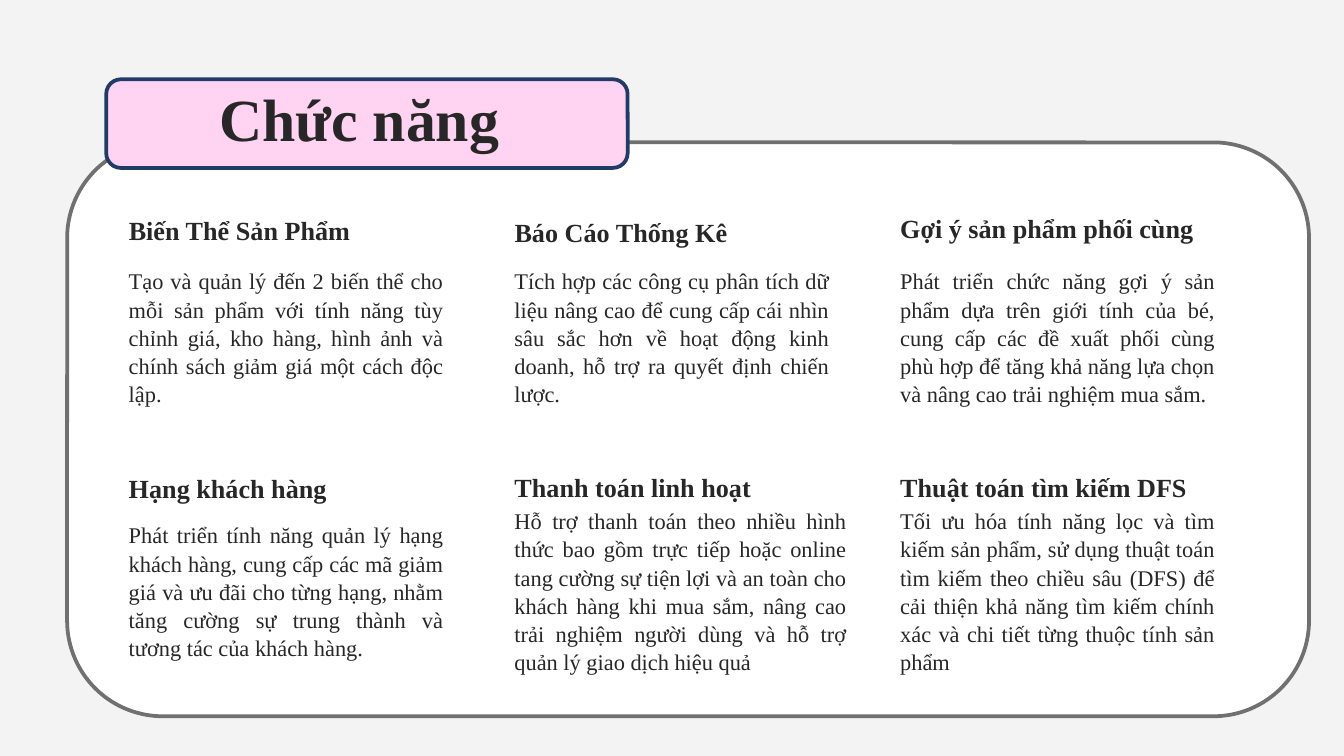
import pptx
import pptx.util
import pptx.dml.color
import pptx.enum.shapes
import pptx.enum.text

Pt = pptx.util.Pt
ALIGN = pptx.enum.text.PP_ALIGN
HUES = {"back": "F3F3F3", "panel": "FFFFFF", "edge": "707070",
        "tab": "FFD3F1", "rim": "203B66", "ink": "272727"}

# Content: one list per row of (head, body)
TITLE = "Chức năng "
ROWS = [
    [("Biến Thể Sản Phẩm",
      "Tạo và quản lý đến 2 biến thể cho mỗi sản phẩm với tính năng tùy chỉnh giá, "
      "kho hàng, hình ảnh và chính sách giảm giá một cách độc lập."),
     ("Báo Cáo Thống Kê",
      "Tích hợp các công cụ phân tích dữ liệu nâng cao để cung cấp cái nhìn sâu sắc "
      "hơn về hoạt động kinh doanh, hỗ trợ ra quyết định chiến lược."),
     ("Gợi ý sản phẩm phối cùng",
      "Phát triển chức năng gợi ý sản phẩm dựa trên giới tính của bé, cung cấp các đề "
      "xuất phối cùng phù hợp để tăng khả năng lựa chọn và nâng cao trải nghiệm mua sắm.")],
    [("Hạng khách hàng",
      "Phát triển tính năng quản lý hạng khách hàng, cung cấp các mã giảm giá và ưu đãi "
      "cho từng hạng, nhằm tăng cường sự trung thành và tương tác của khách hàng."),
     ("Thanh toán linh hoạt",
      "Hỗ trợ thanh toán theo nhiều hình thức bao gồm trực tiếp hoặc online tang cường "
      "sự tiện lợi và an toàn cho khách hàng khi mua sắm, nâng cao trải nghiệm người "
      "dùng và hỗ trợ quản lý giao dịch hiệu quả"),
     ("Thuật toán tìm kiếm DFS",
      "Tối ưu hóa tính năng lọc và tìm kiếm sản phẩm, sử dụng thuật toán tìm kiếm theo "
      "chiều sâu (DFS) để cải thiện khả năng tìm kiếm chính xác và chi tiết từng thuộc "
      "tính sản phẩm")],
]

# Grid, in points
LEFT, STEP, WIDE = 61.92, 206.64, 182.88
HEAD_TOPS = [[108.72, 109.44, 107.28], [246.96, 246.24, 246.24]]
HEAD_WIDES = [[159.84, 212.4, 198.72], [WIDE] * 3]
BODY_TOPS = [134.64, 270.72]
BODY_WIDES = [[WIDE] * 3, [WIDE, 192.24, WIDE]]
HEAD_HIGH, BODY_HIGH = 29.52, 91.44

# Formats
FRAME = {"word_wrap": True, "auto_size": pptx.enum.text.MSO_AUTO_SIZE.NONE,
         "vertical_anchor": pptx.enum.text.MSO_ANCHOR.MIDDLE,
         "margin_left": Pt(7.2), "margin_right": Pt(7.2),
         "margin_top": Pt(7.2), "margin_bottom": Pt(7.2)}
FONT = {"name": "Times New Roman"}
TITLE_FONT = {**FONT, "size": Pt(32), "bold": True}
HEAD_FONT = {**FONT, "size": Pt(14), "bold": True}
BODY_FONT = {**FONT, "size": Pt(12), "bold": False}


def hue(name):
    return pptx.dml.color.RGBColor.from_string(HUES[name])


def put(item, looks):
    for key, value in looks.items():
        setattr(item, key, value)


def write(box, text, font, align, space):
    frame = box.text_frame
    put(frame, FRAME)
    frame.text = text
    line = frame.paragraphs[0]
    put(line, {"alignment": align, "line_spacing": space})
    put(line.font, font)
    line.font.color.rgb = hue("ink")


def card(area, fill, edge):
    shape = slide.shapes.add_shape(
        pptx.enum.shapes.MSO_SHAPE.ROUNDED_RECTANGLE, *map(Pt, area))
    shape.shadow.inherit = False
    shape.fill.solid()
    shape.fill.fore_color.rgb = hue(fill)
    shape.line.color.rgb = hue(edge)
    shape.line.width = Pt(2)


def label(area, text, font, space):
    box = slide.shapes.add_textbox(*map(Pt, area))
    write(box, text, font, ALIGN.JUSTIFY, space)


deck = pptx.Presentation()
put(deck, {"slide_width": Pt(720), "slide_height": Pt(405)})
slide = deck.slides.add_slide(deck.slide_layouts[5])
slide.background.fill.solid()
slide.background.fill.fore_color.rgb = hue("back")

# Panel and title tab
card((36, 76.32, 665.28, 307.44), "panel", "edge")
card((56.88, 42.48, 279.36, 47.52), "tab", "rim")

# Title, raised above the tab
title = slide.shapes.title
put(title, {"left": Pt(56.88), "top": Pt(40.32),
            "width": Pt(279.36), "height": Pt(45.36)})
write(title, TITLE, TITLE_FONT, ALIGN.CENTER, 1.0)
slide.shapes.element.append(title.element)

# Six features
for r, row in enumerate(ROWS):
    for c, (head, body) in enumerate(row):
        x = LEFT + c * STEP
        label((x, HEAD_TOPS[r][c], HEAD_WIDES[r][c], HEAD_HIGH), head, HEAD_FONT, 1.0)
        label((x, BODY_TOPS[r], BODY_WIDES[r][c], BODY_HIGH), body, BODY_FONT, 1.05)

deck.save("out.pptx")
